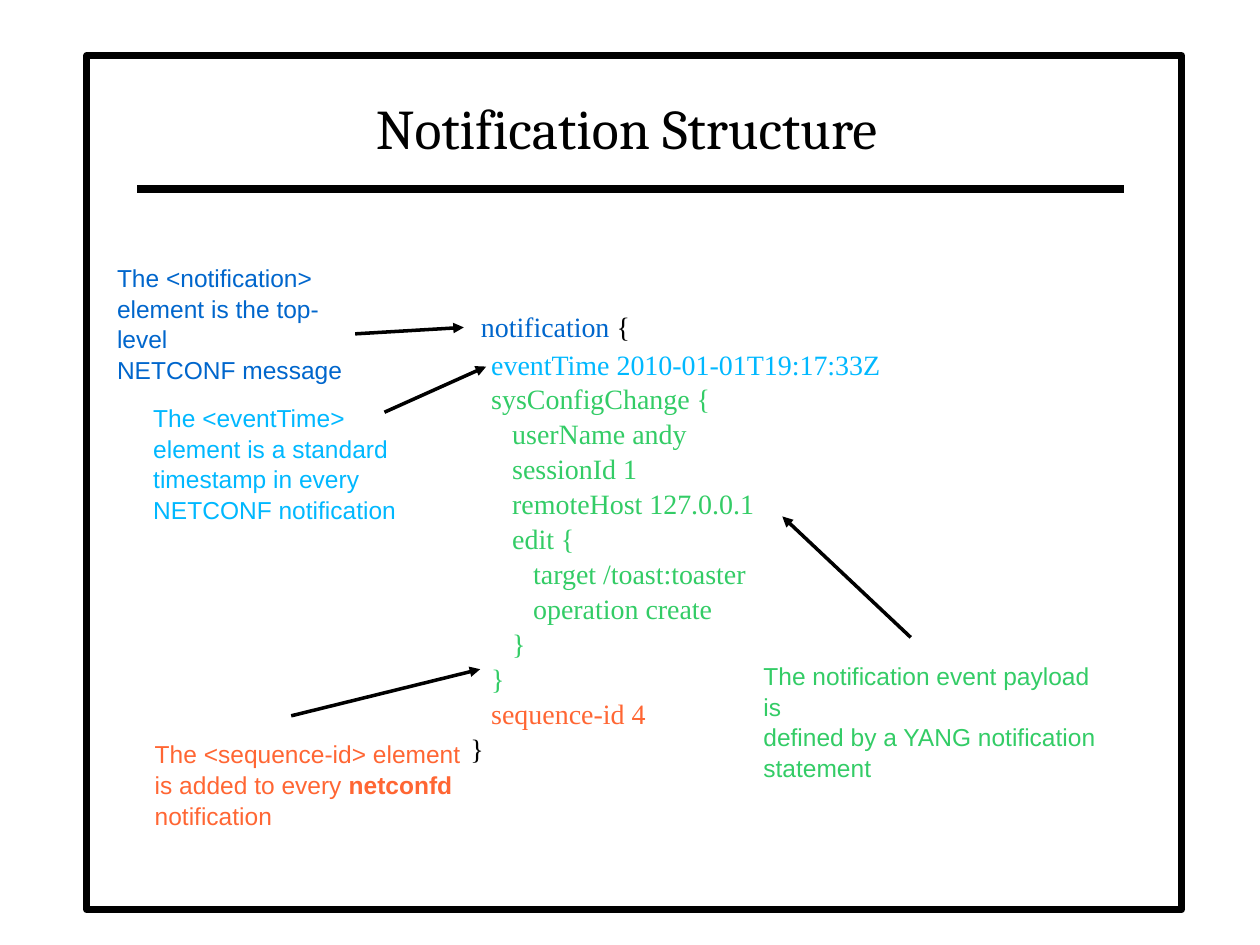
import pptx
import pptx.dml.color
import pptx.enum.shapes
import pptx.enum.text
import pptx.oxml
import pptx.oxml.ns
import pptx.util

Cm = pptx.util.Cm
Pt = pptx.util.Pt

BLACK, BLUE, SKY, GREEN, ORANGE = "000000", "0066CC", "00B8FF", "33CC66", "FF6633"

# Content: lengths in centimetres
FRAME = (1.75, 1.12, 22.07, 17.22)
RULE = (2.77, 3.81, 22.66, 3.81)
TITLE = ("Notification Structure", (2.74, 1.47, 19.79, 1.9))

# Each paragraph is a list of runs: text and its own format
CODE_BOX = (8.81, 5.79, 9.22, 9.35)
CODE = [
    [("   ", {"size": 24}), ("notification", {"color": BLUE}), (" {", {})],
    [("      eventTime 2010-01-01T19:17:33Z", {"color": SKY})],
    *[[(line, {"color": GREEN})] for line in (
        "      sysConfigChange {",
        "         userName andy",
        "         sessionId 1",
        "         remoteHost 127.0.0.1",
        "         edit {",
        "            target /toast:toaster",
        "            operation create",
        "         }",
        "      }",
    )],
    [("      sequence-id 4", {"color": ORANGE})],
    [("   }", {})],
]

# Notes: runs, color, box, arrow from and to
NOTES = [
    ([("The <notification>\nelement is the top-level\nNETCONF message", {})],
     BLUE, (2.11, 5.16, 5.59, 1.93), (7.16, 6.73, 9.35, 6.6)),
    ([("The <eventTime>\nelement is a standard\ntimestamp in every\nNETCONF notification", {})],
     SKY, (2.84, 7.98, 5.41, 2.49), (7.75, 8.31, 9.8, 7.39)),
    ([("The notification event payload is\ndefined by a YANG notification\nstatement", {})],
     GREEN, (15.14, 13.18, 7.57, 1.93), (18.36, 12.85, 15.77, 10.41)),
    ([("The <sequence-id> element\nis added to every ", {}), ("netconfd", {"bold": True}),
      ("\nnotification", {})],
     ORANGE, (2.87, 14.76, 6.68, 1.93), (5.87, 14.43, 9.68, 13.49)),
]


def rgb(value):
    return pptx.dml.color.RGBColor.from_string(value)


def add_text(slide, paragraphs, box, *, font, size, color=BLACK, spacing=None,
             align="LEFT", anchor="TOP", wrap=False):
    frame = slide.shapes.add_textbox(*map(Cm, box)).text_frame
    frame.word_wrap = wrap
    frame.auto_size = pptx.enum.text.MSO_AUTO_SIZE.SHAPE_TO_FIT_TEXT
    frame.vertical_anchor = pptx.enum.text.MSO_ANCHOR[anchor]
    for index, runs in enumerate(paragraphs):
        paragraph = frame.add_paragraph() if index else frame.paragraphs[0]
        paragraph.alignment = pptx.enum.text.PP_ALIGN[align]
        if spacing:
            paragraph.line_spacing = spacing
        for text, own in runs:
            for line_index, line in enumerate(text.split("\n")):
                if line_index:
                    paragraph.add_line_break()
                if not line:
                    continue
                run = paragraph.add_run()
                run.text = line
                run.font.name = font
                run.font.size = Pt(own.get("size", size))
                run.font.bold = own.get("bold", False)
                run.font.color.rgb = rgb(own.get("color", color))


def add_line(slide, ends, width, arrow=False):
    connector = slide.shapes.add_connector(
        pptx.enum.shapes.MSO_CONNECTOR.STRAIGHT, *map(Cm, ends))
    connector.line.color.rgb = rgb(BLACK)
    connector.line.width = Pt(width)
    qualified = pptx.oxml.ns.qn
    properties = connector.element.spPr
    if arrow:
        line = properties.find(qualified("a:ln"))
        tail = line.makeelement(qualified("a:tailEnd"), {"type": "triangle"})
        line.append(tail)
    properties.append(properties.makeelement(qualified("a:effectLst"), {}))


def main():
    presentation = pptx.Presentation()
    presentation.slide_width, presentation.slide_height = Cm(25.4), Cm(19.05)
    slide = presentation.slides.add_slide(presentation.slide_layouts[6])

    # Frame, title and rule
    frame = slide.shapes.add_shape(
        pptx.enum.shapes.MSO_SHAPE.RECTANGLE, *map(Cm, FRAME))
    frame.shadow.inherit = False
    frame.fill.solid()
    frame.fill.fore_color.rgb = rgb("FFFFFF")
    frame.line.color.rgb = rgb(BLACK)
    frame.line.width = Pt(4)
    add_line(slide, RULE, 4.5)
    title, title_box = TITLE
    add_text(slide, [[(title, {})]], title_box, font="Cambria", size=32,
             align="CENTER", anchor="BOTTOM", wrap=True)

    # Notification listing
    add_text(slide, CODE, CODE_BOX, font="Times New Roman", size=16, spacing=1.04)

    # Notes with their arrows
    for runs, color, box, arrow in NOTES:
        add_text(slide, [runs], box, font="Arial", size=14, color=color, spacing=1.04)
        add_line(slide, arrow, 0, arrow=True)

    presentation.save("out.pptx")


if __name__ == "__main__":
    main()
